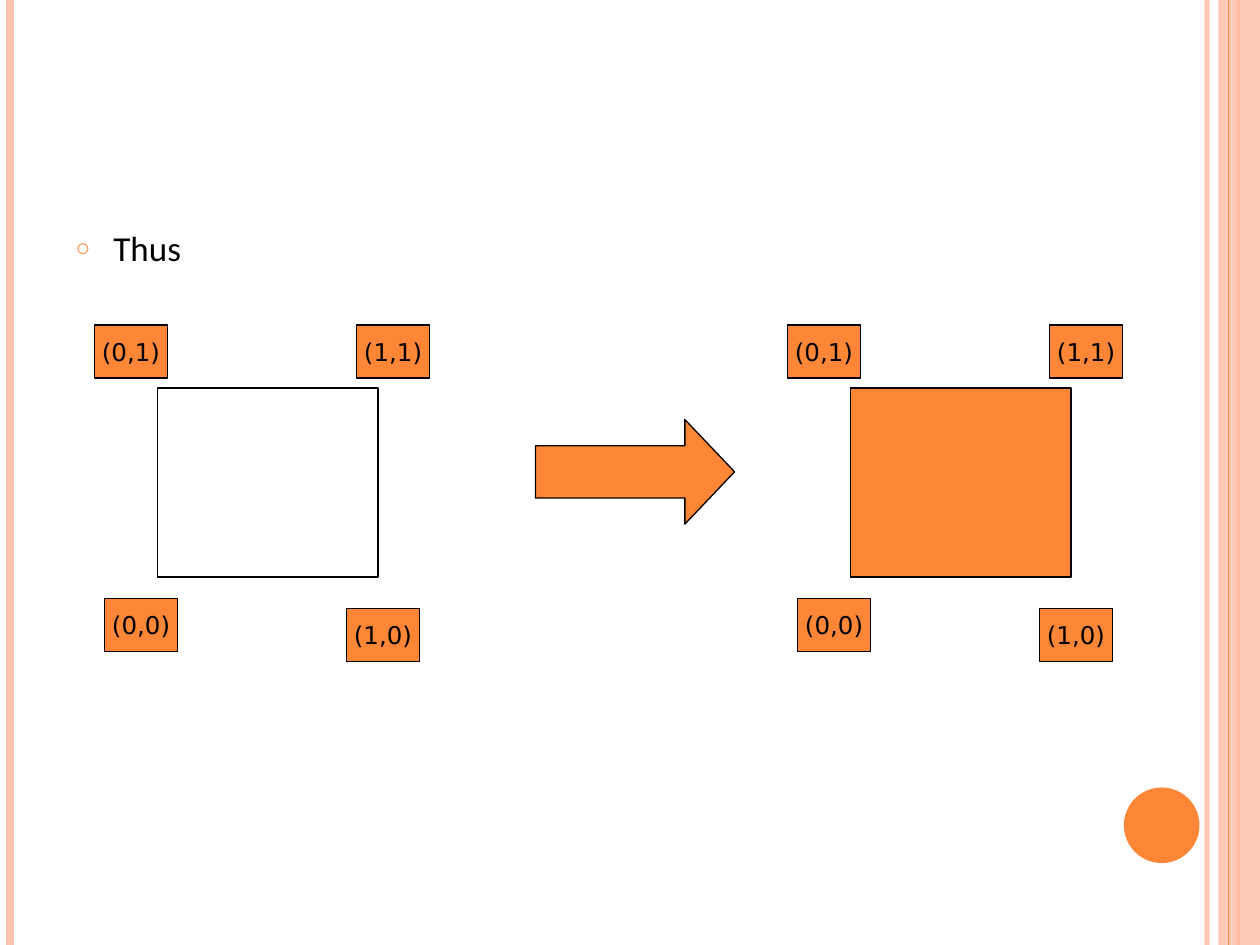
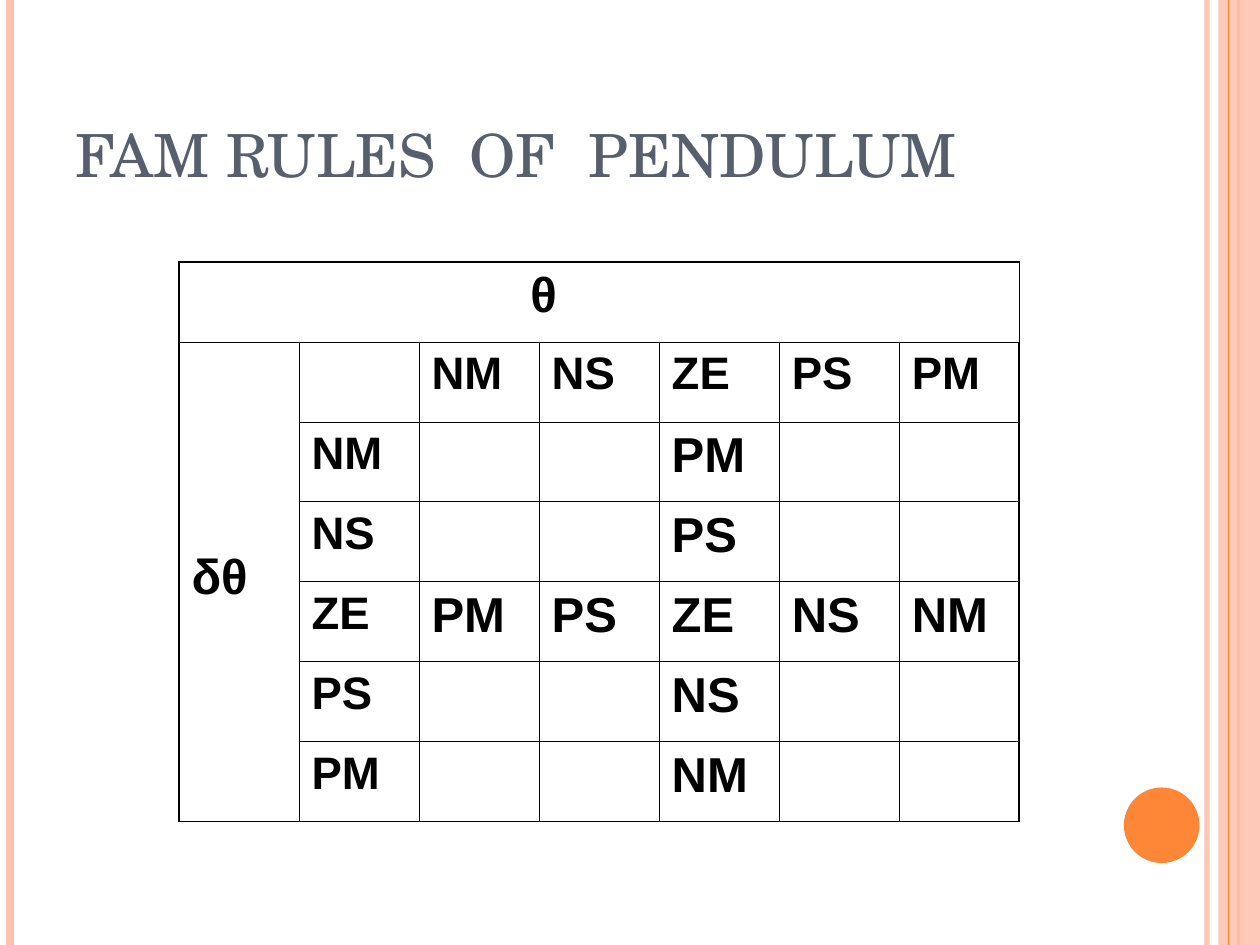
from dataclasses import dataclass

from lxml.etree import SubElement
from pptx import Presentation
from pptx.dml.color import RGBColor
from pptx.enum.shapes import MSO_CONNECTOR as Connector, MSO_SHAPE as Shape
from pptx.enum.text import MSO_ANCHOR as Anchor, MSO_AUTO_SIZE as AutoSize, PP_ALIGN as Align
from pptx.oxml.ns import qn
from pptx.util import Inches, Pt


@dataclass(frozen=True)
class Theme:
    """Colours, fonts and sizes shared by the slides."""

    orange: RGBColor = RGBColor(0xFE, 0x86, 0x37)
    peach: RGBColor = RGBColor(0xFE, 0xC3, 0xAE)
    slate: RGBColor = RGBColor(0x57, 0x5F, 0x6D)
    black: RGBColor = RGBColor(0, 0, 0)
    white: RGBColor = RGBColor(0xFF, 0xFF, 0xFF)
    title_font: str = "TeX Gyre Schola"
    body_font: str = "Calibri"
    label_font: str = "DejaVu Sans"
    table_font: str = "Arial"
    title_size: float = 34
    body_size: float = 20
    label_size: float = 14
    rule_size: float = 28
    heading_size: float = 26
    outline: float = 0.75
    inner_border: float = 0.45
    outer_border: float = 1.08


THEME = Theme()
PAGE_WIDTH, PAGE_HEIGHT = 10, 7.5
EDGE_LINES = [
    (9.58, THEME.peach, 3, 93),
    (0.08, THEME.peach, 4.5, 100),
    (9.83, THEME.orange, 1.5, 100),
]
CORNERS = {
    "(0,0)": (-0.42, 1.67),
    "(1,0)": (1.5, 1.75),
    "(0,1)": (-0.5, -0.5),
    "(1,1)": (1.58, -0.5),
}
LEVELS = ["NM", "NS", "ZE", "PS", "PM"]
ZERO = LEVELS.index("ZE")


def apply(target, **values):
    """Set each named value as an attribute of the target."""
    for name, value in values.items():
        setattr(target, name, value)


def set_font(font, name, size, color, bold=False):
    """Give a font its face, size, colour and weight."""
    apply(font, name=name, size=Pt(size), bold=bold)
    font.color.rgb = color


def set_indent(para, left, first_line=0):
    """Indent a paragraph and return its properties element."""
    properties = para._p.get_or_add_pPr()
    for name, value in {"marL": left, "indent": first_line}.items():
        properties.set(name, str(Inches(value)))
    return properties


def place(shape, box):
    """Move a shape to a box of left, top, width and height in inches."""
    apply(shape, **dict(zip(("left", "top", "width", "height"), map(Inches, box))))


def set_alpha(element, percent):
    """Make the first solid colour under an element partly transparent."""
    color = next(element.iter(qn("a:srgbClr")))
    SubElement(color, qn("a:alpha"), val=str(percent * 1000))


def add_block(page, kind, box, fill, outlined=True):
    """Add a filled preset shape without a shadow."""
    block = page.shapes.add_shape(kind, *map(Inches, box))
    block.shadow.inherit = False
    block.fill.solid()
    block.fill.fore_color.rgb = fill
    if outlined:
        block.line.color.rgb = THEME.black
        block.line.width = Pt(THEME.outline)
    else:
        block.line.fill.background()
    return block


def add_edge_line(page, left, color, width, alpha=100):
    """Add a vertical line over the full height of the page."""
    line = page.shapes.add_connector(
        Connector.STRAIGHT, Inches(left), 0, Inches(left), Inches(PAGE_HEIGHT))
    line.line.color.rgb = color
    line.line.width = Pt(width)
    properties = line.line._get_or_add_ln()
    if alpha < 100:
        set_alpha(properties, alpha)
    SubElement(properties.getparent(), qn("a:effectLst"))


def add_frame(page):
    """Draw the side bands, lines and disc that every slide carries."""
    for edge in EDGE_LINES:
        add_edge_line(page, *edge)
    band = add_block(page, Shape.RECTANGLE, (9.67, 0, 0.33, PAGE_HEIGHT), THEME.peach, False)
    set_alpha(band.fill._xPr, 87)
    add_edge_line(page, 9.75, THEME.orange, 0.75)
    add_block(page, Shape.OVAL, (8.92, 6.25, 0.6, 0.6), THEME.orange, False)


def add_bullet_text(body, box, text):
    """Fill the body placeholder with one circle-bulleted line."""
    place(body, box)
    frame = body.text_frame
    apply(frame, auto_size=AutoSize.NONE, vertical_anchor=Anchor.TOP)
    para = frame.paragraphs[0]
    para.space_before = Pt(0)
    properties = set_indent(para, 0.3, -0.3)
    SubElement(SubElement(properties, qn("a:buClr")), qn("a:srgbClr"), val=str(THEME.orange))
    SubElement(properties, qn("a:buSzPct"), val="70000")
    SubElement(properties, qn("a:buChar"), char="○")
    span = para.add_run()
    span.text = text
    set_font(span.font, THEME.body_font, THEME.body_size, THEME.black)


def add_unit_square(page, box, fill):
    """Draw a square with a coordinate label near each corner."""
    left, top = box[:2]
    add_block(page, Shape.RECTANGLE, box, fill)
    for text, (right_by, down_by) in CORNERS.items():
        label = add_block(page, Shape.RECTANGLE,
                          (left + right_by, top + down_by, 0.58, 0.42), THEME.orange)
        frame = label.text_frame
        apply(frame, word_wrap=False, vertical_anchor=Anchor.MIDDLE)
        para = frame.paragraphs[0]
        para.alignment = Align.CENTER
        span = para.add_run()
        span.text = text
        set_font(span.font, THEME.label_font, THEME.label_size, THEME.black)


def add_title(page, box, pieces):
    """Write the title pieces, parted by wide spaces, in its placeholder."""
    title = page.shapes.title
    place(title, box)
    apply(title.text_frame, word_wrap=True, auto_size=AutoSize.NONE,
          vertical_anchor=Anchor.BOTTOM)
    para = title.text_frame.paragraphs[0]
    para.alignment = Align.LEFT
    for index, piece in enumerate(pieces):
        for text in ([" "] if index else []) + [piece]:
            span = para.add_run()
            span.text = text
            set_font(span.font, THEME.title_font, THEME.title_size, THEME.slate)
            if text == " ":
                span.font._element.set("spc", "950")


def set_borders(cell, row, column, last):
    """Draw thin inner and thicker outer borders, leaving the cell unfilled."""
    outer = {"L": column == 0, "R": column == last, "T": row == 0, "B": row == last}
    properties = cell._tc.get_or_add_tcPr()
    for side, is_outer in outer.items():
        width = Pt(THEME.outer_border if is_outer else THEME.inner_border)
        line = SubElement(properties, qn(f"a:ln{side}"), w=str(width))
        SubElement(SubElement(line, qn("a:solidFill")), qn("a:srgbClr"), val=str(THEME.black))
    cell.fill.background()


def rule_texts():
    """Return the table texts by row and column, with opposites on the ZE cross."""
    texts = {(0, 0): "θ", (1, 0): "δθ"}
    for index, level in enumerate(LEVELS):
        opposite = LEVELS[-1 - index]
        texts[1, index + 2] = texts[index + 2, 1] = level
        texts[ZERO + 2, index + 2] = texts[index + 2, ZERO + 2] = opposite
    return texts


def add_rule_table(page, box):
    """Draw the rule table with its merged axis cells."""
    count = len(LEVELS) + 2
    last = count - 1
    table = page.shapes.add_table(count, count, *map(Inches, box)).table
    apply(table, first_row=False, horz_banding=False)
    for column in table.columns:
        column.width = Inches(box[2] / count)
    for row in table.rows:
        row.height = Inches(box[3] / count)
    table.cell(0, 0).merge(table.cell(0, last))
    table.cell(1, 0).merge(table.cell(last, 0))
    texts = rule_texts()
    for row in range(count):
        for column in range(count):
            cell = table.cell(row, column)
            set_borders(cell, row, column, last)
            if (row, column) in texts:
                span = cell.text_frame.paragraphs[0].add_run()
                span.text = texts[row, column]
                is_heading = (row == 1 and column > 1) or (column == 1 and row > 1)
                size = THEME.heading_size if is_heading else THEME.rule_size
                set_font(span.font, THEME.table_font, size, THEME.black, True)
    set_indent(table.cell(0, 0).text_frame.paragraphs[0], 2.69)
    apply(table.cell(1, 0), vertical_anchor=Anchor.MIDDLE, margin_bottom=Inches(0.12))


def build_square_slide(deck):
    """Build the slide that turns an empty square into a filled one."""
    page = deck.slides.add_slide(deck.slide_layouts[1])
    heading = page.shapes.title._element
    heading.getparent().remove(heading)
    add_frame(page)
    add_bullet_text(page.placeholders[1], (0.5, 1.75, 8.17, 5.33), "Thus")
    add_unit_square(page, (1.25, 3.08, 1.75, 1.5), THEME.white)
    arrow = add_block(page, Shape.RIGHT_ARROW, (4.25, 3.33, 1.58, 0.83), THEME.orange)
    arrow.adjustments[1] = 0.475
    add_unit_square(page, (6.75, 3.08, 1.75, 1.5), THEME.orange)


def build_rules_slide(deck):
    """Build the slide with the pendulum rule table."""
    page = deck.slides.add_slide(deck.slide_layouts[5])
    add_frame(page)
    add_title(page, (0.5, 0.3, 8.17, 1.25), ["FAM RULES", "OF", "PENDULUM"])
    add_rule_table(page, (1.42, 2.08, 6.67, 4.44))


def main():
    """Build and save the deck."""
    deck = Presentation()
    apply(deck, slide_width=Inches(PAGE_WIDTH), slide_height=Inches(PAGE_HEIGHT))
    build_square_slide(deck)
    build_rules_slide(deck)
    deck.save("out.pptx")


if __name__ == "__main__":
    main()
